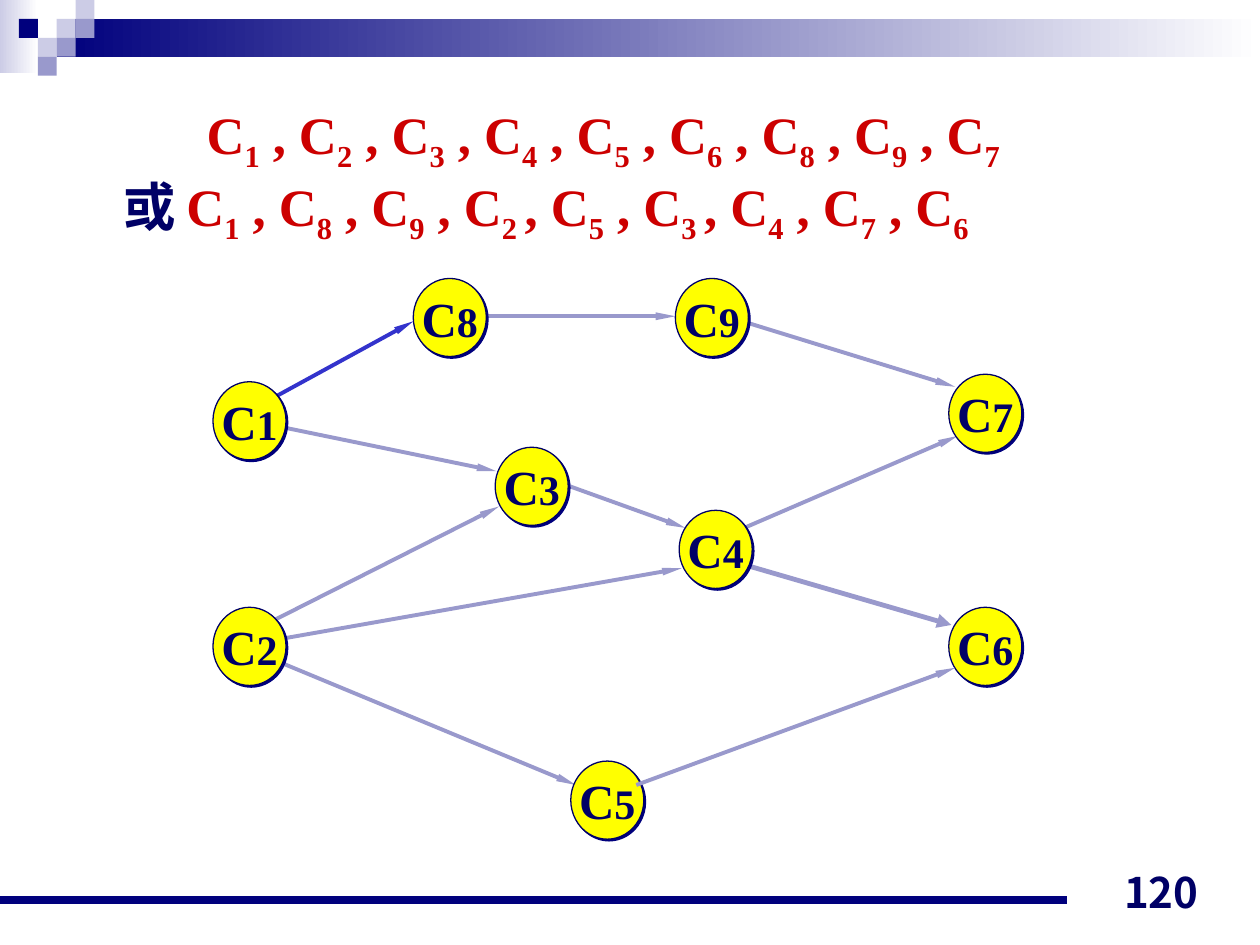
from lxml.etree import SubElement
from pptx import Presentation
from pptx.dml.color import RGBColor
from pptx.enum.shapes import MSO_CONNECTOR, MSO_SHAPE
from pptx.enum.text import MSO_ANCHOR, MSO_AUTO_SIZE, PP_ALIGN
from pptx.oxml.ns import qn
from pptx.util import Inches, Pt

COLORS = {"navy": "00007D", "ink": "000066", "red": "CC0000", "yellow": "FFFF00",
          "blue": "3333CC", "lilac": "9999CC", "pale": "CCCCE6", "white": "FFFFFF"}
SERIF, SANS = "Times New Roman", "Noto Sans CJK JP"
COLUMNS, ROWS, CELL = 100, 75, Inches(0.1)
SQUARE = 1.5

SQUARES = [(3, 1, "pale"), (4, 0, "pale"), (4, 1, "lilac"), (2, 2, "pale"),
           (1, 1, "navy"), (3, 2, "lilac"), (2, 3, "lilac")]
ORDERS = [["1", "2", "3", "4", "5", "6", "8", "9", "7"],
          ["1", "8", "9", "2 ", "5", "3 ", "4", "7", "6"]]
NODE_SIZE = (5.8, 6.2)
NODES = {"8": (15.9, 0), "3": (22.4, 13.4), "5": (28.4, 38.3), "4": (37, 18.4),
         "9": (36.7, 0), "6": (58.4, 26.1), "7": (58.4, 7.6), "1": (0, 8.2),
         "2": (0, 26.1)}
EDGES = [((4.3, 28.8), (37.2, 23)), ((27.5, 16.2), (37.5, 19.8)),
         ((41.7, 3.3), (58.9, 8.6)), ((41, 20.3), (59.1, 12.5)),
         ((19.2, 3), (36.7, 3)), ((4.2, 30), (28.8, 40.2)),
         ((4.1, 27.5), (22.7, 18.1)), ((1.6, 11), (22.5, 15.3))]
BLUE_EDGE = ((4.2, 9.8), (15.9, 3.4))
WIDE_EDGE = ((42.1, 22.7), (58.6, 27.5))
FRONT_EDGE = ((33.6, 40.2), (58.9, 30.9))


def rgb(name):
    """Return the named colour."""
    return RGBColor.from_string(COLORS[name])


def cells(*values):
    """Turn grid counts into lengths."""
    return [int(value * CELL) for value in values]


def apply(target, values):
    """Set every attribute in the dict on the target."""
    for name, value in values.items():
        setattr(target, name, value)


def add_span(para, text, color, size, font=SERIF, baseline=None):
    """Add a bold run of text to a paragraph."""
    span = para.add_run()
    span.text = text
    apply(span.font, {"name": font, "size": Pt(size), "bold": True})
    span.font.color.rgb = rgb(color)
    properties = span._r.get_or_add_rPr()
    SubElement(properties, qn("a:ea"), typeface=font)
    if baseline:
        properties.set("baseline", str(baseline))


def add_block(page, box, color, fade=False):
    """Add a plain or fading rectangle without outline."""
    block = page.shapes.add_shape(MSO_SHAPE.RECTANGLE, *cells(*box))
    block.shadow.inherit = False
    block.line.fill.background()
    if fade:
        block.fill.gradient()
        block.fill.gradient_angle = 180
        for stop, name in zip(block.fill.gradient_stops, ("white", color)):
            stop.color.rgb = rgb(name)
    else:
        block.fill.solid()
        block.fill.fore_color.rgb = rgb(color)


def add_line(page, start, end, color, width):
    """Add a straight line and return its outline element."""
    line = page.shapes.add_connector(MSO_CONNECTOR.STRAIGHT, *cells(*start, *end))
    line.line.color.rgb = rgb(color)
    line.line.width = Pt(width)
    SubElement(line._element.spPr, qn("a:effectLst"))
    return line.line._get_or_add_ln()


def add_banner(page, box):
    """Draw the fading bar and its checkered squares."""
    left, top, width, height = box
    add_block(page, (left, top, 2 * SQUARE, height), "pale", fade=True)
    add_block(page, (left + 3 * SQUARE, top + SQUARE, width - 3 * SQUARE, 2 * SQUARE),
              "navy", fade=True)
    for column, row, color in SQUARES:
        add_block(page, (left + column * SQUARE, top + row * SQUARE, SQUARE, SQUARE), color)


def add_orders(page, box):
    """Write the two topological orders in the body placeholder."""
    body = page.placeholders[1]
    apply(body, dict(zip(("left", "top", "width", "height"), cells(*box))))
    frame = body.text_frame
    apply(frame, {"margin_left": Inches(0.48), "word_wrap": True,
                  "auto_size": MSO_AUTO_SIZE.NONE, "vertical_anchor": MSO_ANCHOR.TOP})
    para = frame.paragraphs[0]
    para.space_before = Pt(7.5)
    properties = para._p.get_or_add_pPr()
    apply_indent = {"marL": 0, "indent": Inches(0.66)}
    for name, value in apply_indent.items():
        properties.set(name, str(int(value)))
    SubElement(properties, qn("a:buNone"))
    tabs = SubElement(properties, qn("a:tabLst"))
    SubElement(tabs, qn("a:tab"), pos=str(Inches(0.8)), algn="l")
    for row, order in enumerate(ORDERS):
        if row:
            para.add_line_break()
            add_span(para, "或", "ink", 30, SANS)
            add_span(para, "\t", "ink", 30)
        lead = "C"
        for number in order:
            add_span(para, lead, "red", 30)
            add_span(para, number, "red", 30, baseline=-25000)
            lead = ", C" if number.endswith(" ") else " , C"


def add_edge(page, box, edge, color="lilac", width=2.25, head=("sm", "lg")):
    """Draw an arrow of the graph."""
    left, top = box[:2]
    start, end = [(left + x, top + y) for x, y in edge]
    outline = add_line(page, start, end, color, width)
    SubElement(outline, qn("a:tailEnd"), type="triangle", w=head[0], len=head[1])


def add_node(page, box, number):
    """Draw a round course node with a hard shadow."""
    node = page.shapes.add_shape(MSO_SHAPE.OVAL, *cells(*box))
    node.fill.solid()
    node.fill.fore_color.rgb = rgb("yellow")
    node.line.color.rgb = rgb("ink")
    node.line.width = Pt(0.75)
    effects = SubElement(node._element.spPr, qn("a:effectLst"))
    shadow = SubElement(effects, qn("a:outerShdw"), blurRad="0", dist=str(Pt(1.4)),
                        dir=str(45 * 60000), algn="ctr", rotWithShape="0")
    SubElement(shadow, qn("a:srgbClr"), val=COLORS["navy"])
    apply(node.text_frame, {"word_wrap": False, "vertical_anchor": MSO_ANCHOR.MIDDLE})
    para = node.text_frame.paragraphs[0]
    para.alignment = PP_ALIGN.CENTER
    add_span(para, "C", "ink", 28)
    add_span(para, number, "ink", 24)


def add_graph(page, box):
    """Draw the course graph."""
    for edge in EDGES:
        add_edge(page, box, edge)
    add_edge(page, box, WIDE_EDGE, width=2.75, head=("med", "med"))
    add_edge(page, box, BLUE_EDGE, color="blue")
    for number, (x, y) in NODES.items():
        add_node(page, (box[0] + x, box[1] + y, *NODE_SIZE), number)
    add_edge(page, box, FRONT_EDGE)


def add_footer(page, box):
    """Draw the bottom rule and the page number."""
    left, top, width, height = box
    rule = top + 3.1
    add_line(page, (left, rule), (left + 84.7, rule), "navy", 4.5)
    label = page.shapes.add_textbox(*cells(left + 72.8, top, 23.3, height))
    apply(label.text_frame, {"word_wrap": True, "vertical_anchor": MSO_ANCHOR.BOTTOM})
    para = label.text_frame.paragraphs[0]
    para.alignment = PP_ALIGN.RIGHT
    add_span(para, "120", "ink", 24, SANS)


def main():
    """Build and save the deck."""
    deck = Presentation()
    deck.slide_width, deck.slide_height = cells(COLUMNS, ROWS)
    page = deck.slides.add_slide(deck.slide_layouts[1])
    title = page.shapes.title._element
    title.getparent().remove(title)
    add_banner(page, (0, 0, COLUMNS, 5.8))
    add_orders(page, (5, 7.6, 90, 13.6))
    add_graph(page, (16.9, 22.1, 64.2, 44.5))
    add_footer(page, (0, 68.3, COLUMNS, 5))
    deck.save("out.pptx")


if __name__ == "__main__":
    main()
